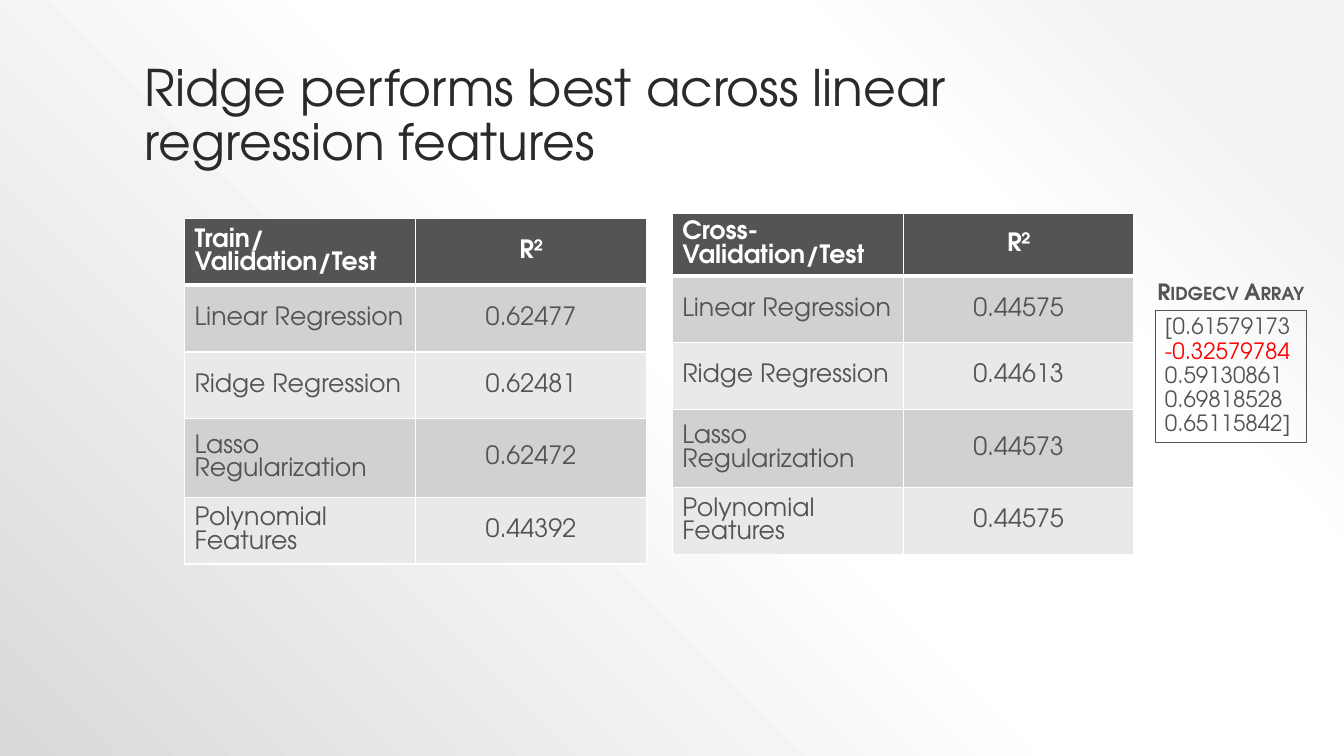
from lxml import etree
from pptx import Presentation
from pptx import util as u
from pptx.dml.color import RGBColor
from pptx.enum import shapes, text
from pptx.oxml import parse_xml
from pptx.oxml.ns import nsdecls, qn

FONT = "TeX Gyre Adventor"
COLORS = {"title": "2A2A2A", "dark": "545454", "white": "FFFFFF", "alert": "FF0000",
          "odd_row": "D1D1D1", "even_row": "E9E9E9"}
BACKGROUND_STOPS = [(10, "F2F2F2"), (28, "FFFFFF"), (48, "FFFFFF"), (100, "D9D9D9")]
MODELS = ["Linear Regression", "Ridge Regression", "Lasso Regularization", "Polynomial Features"]
COLUMN_WIDTH = 5.82
BODY_HEIGHTS = [1.68, 1.68, 1.98, 1.68]


def rgb(name):
    """Return the palette colour with this name."""
    return RGBColor.from_string(COLORS[name])


def set_font(font, size, color, bold=False):
    """Set typeface, size, colour and weight."""
    font.name, font.size, font.bold = FONT, u.Pt(size), bold
    font.color.rgb = rgb(color)


def set_background(slide):
    """Fill the background with a radial gradient centred top right."""
    stops = "".join(f'<a:gs pos="{position * 1000}"><a:srgbClr val="{color}"/></a:gs>'
                    for position, color in BACKGROUND_STOPS)
    gradient = parse_xml(
        f'<a:gradFill {nsdecls("a")} rotWithShape="1"><a:gsLst>{stops}</a:gsLst>'
        '<a:path path="circle"><a:fillToRect l="100000" b="100000"/></a:path></a:gradFill>')
    slide.background.fill.solid()
    properties = slide.element.find(".//" + qn("p:bgPr"))
    properties.replace(properties[0], gradient)


def add_title(slide, wording):
    """Place and format the title placeholder."""
    title = slide.shapes.title
    title.left, title.top, title.width, title.height = map(u.Cm, (3.39, 0.76, 27.09, 3.69))
    frame = title.text_frame
    frame.text = wording
    frame.auto_size = text.MSO_AUTO_SIZE.NONE
    frame.vertical_anchor = text.MSO_ANCHOR.BOTTOM
    frame.margin_right = u.Cm(1)
    paragraph = frame.paragraphs[0]
    paragraph.alignment = text.PP_ALIGN.LEFT
    paragraph.line_spacing = 0.9
    set_font(paragraph.font, 36, "title")


def set_borders(cell, top, bottom):
    """Give a cell white borders; top and bottom widths are in points."""
    properties = cell._tc.get_or_add_tcPr()
    for side, width in (("L", 1), ("R", 1), ("T", top), ("B", bottom)):
        line = etree.SubElement(properties, qn(f"a:ln{side}"), w=str(u.Pt(width)))
        fill = etree.SubElement(line, qn("a:solidFill"))
        etree.SubElement(fill, qn("a:srgbClr"), val=COLORS["white"])


def add_score_table(slide, left, top, header_height, heading, scores):
    """Add a table of models and their R² scores."""
    rows = [(heading, "R²"), *zip(MODELS, scores)]
    heights = [header_height, *BODY_HEIGHTS]
    table = slide.shapes.add_table(len(rows), 2, u.Cm(left), u.Cm(top),
                                   u.Cm(2 * COLUMN_WIDTH), u.Cm(sum(heights))).table
    for column in table.columns:
        column.width = u.Cm(COLUMN_WIDTH)
    for row_index, (row, height) in enumerate(zip(rows, heights)):
        table.rows[row_index].height = u.Cm(height)
        is_header = row_index == 0
        fill = "dark" if is_header else "odd_row" if row_index % 2 else "even_row"
        for column_index, wording in enumerate(row):
            cell = table.cell(row_index, column_index)
            set_borders(cell, 3 if row_index == 1 else 1, 3 if is_header else 1)
            cell.fill.solid()
            cell.fill.fore_color.rgb = rgb(fill)
            cell.vertical_anchor = text.MSO_ANCHOR.MIDDLE
            cell.text = wording
            paragraph = cell.text_frame.paragraphs[0]
            paragraph.alignment = text.PP_ALIGN.CENTER if column_index else text.PP_ALIGN.LEFT
            set_font(paragraph.font, 18, "white" if is_header else "dark", is_header)


def add_array_box(slide):
    """Add the outlined box of array values, with the negative one in red."""
    box = slide.shapes.add_shape(shapes.MSO_SHAPE.RECTANGLE, *map(u.Cm, (29.11, 7.83, 3.82, 3.33)))
    box.shadow.inherit = False
    box.fill.background()
    box.line.color.rgb = rgb("dark")
    box.line.width = u.Pt(0.75)
    frame = box.text_frame
    frame.word_wrap = True
    frame.auto_size = text.MSO_AUTO_SIZE.SHAPE_TO_FIT_TEXT
    frame.vertical_anchor = text.MSO_ANCHOR.TOP
    first, rest = frame.paragraphs[0], frame.add_paragraph()
    for paragraph, wording, color in (
            (first, "[0.61579173", "dark"),
            (rest, "-0.32579784 ", "alert"),
            (rest, "0.59130861 0.69818528 0.65115842]", "dark")):
        paragraph.alignment = text.PP_ALIGN.LEFT
        paragraph.line_spacing = 0.9
        run = paragraph.add_run()
        run.text = wording
        set_font(run.font, 16, color)


def add_array_caption(slide, wording):
    """Add the small-caps caption above the array box."""
    caption = slide.shapes.add_textbox(*map(u.Cm, (28.58, 6.96, 4.88, 0.86)))
    frame = caption.text_frame
    frame.word_wrap = True
    frame.auto_size = text.MSO_AUTO_SIZE.SHAPE_TO_FIT_TEXT
    paragraph = frame.paragraphs[0]
    paragraph.alignment = text.PP_ALIGN.CENTER
    paragraph.line_spacing = 0.9
    run = paragraph.add_run()
    run.text = wording
    set_font(run.font, 16, "dark", True)
    run._r.get_or_add_rPr().set("cap", "small")


def main():
    """Build the slide and save it."""
    presentation = Presentation()
    presentation.slide_width, presentation.slide_height = u.Cm(33.87), u.Cm(19.05)
    slide = presentation.slides.add_slide(presentation.slide_layouts[5])
    set_background(slide)
    add_title(slide, "Ridge performs best across linear regression features")
    add_score_table(slide, 4.65, 5.51, 1.68, "Train/Validation/Test",
                    ["0.62477", "0.62481", "0.62472", "0.44392"])
    add_score_table(slide, 16.94, 5.38, 1.57, "Cross-Validation/Test",
                    ["0.44575", "0.44613", "0.44573", "0.44575"])
    add_array_box(slide)
    add_array_caption(slide, "Ridgecv Array")
    presentation.save("out.pptx")


main()
